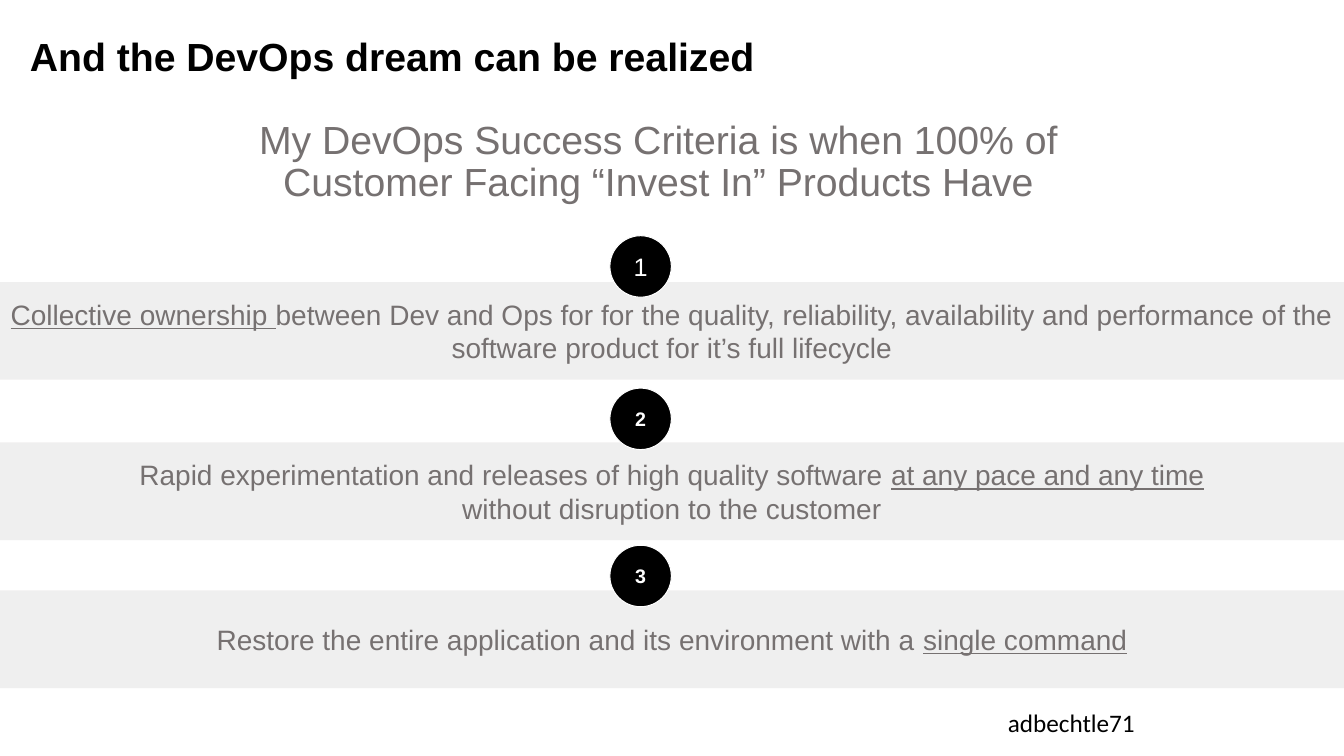
from dataclasses import dataclass

import pptx
import pptx.dml.color
import pptx.enum.shapes
import pptx.enum.text
import pptx.oxml
import pptx.oxml.ns
import pptx.util
from pptx.util import Cm

ALIGN = pptx.enum.text.PP_ALIGN
ANCHOR = pptx.enum.text.MSO_ANCHOR
SHAPE = pptx.enum.shapes.MSO_SHAPE


@dataclass(frozen=True)
class Theme:
    black: str = "000000"
    white: str = "FFFFFF"
    gray: str = "767171"
    band: str = "AFABAB"
    band_opacity: int = 19
    heading: int = 28
    body: int = 20
    label: int = 18
    number: int = 14
    font: str = "Arial"
    footer_font: str = "Calibri"


theme = Theme()


def rgb(color):
    return pptx.dml.color.RGBColor.from_string(color)


def add_span(para, text, *, size, color, font=theme.font, bold=False,
             underline=False, align=ALIGN.CENTER, spacing=1.0):
    para.alignment = align
    para.line_spacing = spacing
    span = para.add_run()
    span.text = text
    span.font.name = font
    span.font.size = pptx.util.Pt(size)
    span.font.color.rgb = rgb(color)
    span.font.bold = bold
    span.font.underline = underline


deck = pptx.Presentation()
deck.slide_width, deck.slide_height = Cm(33.87), Cm(19.05)
page = deck.slides.add_slide(deck.slide_layouts[5])

# Title and lead sentence
title = page.shapes.title
title.left, title.top, title.width, title.height = Cm(0.5), Cm(-0.36), Cm(32.84), Cm(3.68)
lead = page.shapes.add_textbox(Cm(5.64), Cm(2.26), Cm(21.9), Cm(3.68))
for box in (title, lead):
    box.text_frame.word_wrap = True
    box.text_frame.auto_size = pptx.enum.text.MSO_AUTO_SIZE.NONE
    box.text_frame.vertical_anchor = ANCHOR.MIDDLE
add_span(title.text_frame.paragraphs[0], "And the DevOps dream can be realized",
         size=theme.heading, color=theme.black, bold=True, align=ALIGN.LEFT, spacing=0.9)
add_span(lead.text_frame.paragraphs[0],
         "My DevOps Success Criteria is when 100% of Customer Facing “Invest In” Products Have",
         size=theme.heading, color=theme.gray, spacing=0.9)

# Each criterion: band top, badge top, badge type, then lines of (text, underlined)
criteria = [
    (7.11, 5.94, {"size": theme.label}, [
        [("Collective ownership ", True),
         ("between Dev and Ops for for the quality, reliability, availability and "
          "performance of the software product for it’s full lifecycle", False)],
    ]),
    (11.15, 9.78, {"size": theme.number, "bold": True}, [
        [("Rapid experimentation and releases of high quality software ", False),
         ("at any pace and any time", True)],
        [("without disruption to the customer", False)],
    ]),
    (14.88, 13.74, {"size": theme.number, "bold": True}, [
        [("Restore the entire application and its environment with a ", False),
         ("single command", True)],
    ]),
]
for number, (band_top, badge_top, badge_type, lines) in enumerate(criteria, start=1):
    band = page.shapes.add_shape(SHAPE.RECTANGLE, 0, Cm(band_top), deck.slide_width, Cm(2.46))
    band.shadow.inherit = False
    band.fill.solid()
    band.fill.fore_color.rgb = rgb(theme.band)
    fill_color = band.fill._xPr.find(".//" + pptx.oxml.ns.qn("a:srgbClr"))
    fill_color.append(pptx.oxml.parse_xml(
        f'<a:alpha {pptx.oxml.ns.nsdecls("a")} val="{theme.band_opacity * 1000}"/>'))
    band.line.fill.background()
    frame = band.text_frame
    frame.word_wrap = True
    frame.vertical_anchor = ANCHOR.MIDDLE
    for index, line in enumerate(lines):
        para = frame.add_paragraph() if index else frame.paragraphs[0]
        for text, underline in line:
            add_span(para, text, size=theme.body, color=theme.gray, underline=underline)

    badge = page.shapes.add_shape(SHAPE.OVAL, Cm(15.37), Cm(badge_top), Cm(1.55), Cm(1.55))
    badge.shadow.inherit = False
    badge.fill.solid()
    badge.fill.fore_color.rgb = rgb(theme.black)
    badge.line.color.rgb = rgb(theme.white)
    badge.line.width = pptx.util.Pt(0.75)
    frame = badge.text_frame
    frame.margin_left = frame.margin_right = frame.margin_top = frame.margin_bottom = Cm(0.3)
    frame.vertical_anchor = ANCHOR.MIDDLE
    add_span(frame.paragraphs[0], str(number), color=theme.white, **badge_type)

# Footer
footer = page.shapes.add_textbox(Cm(25.15), Cm(17.7), Cm(3.76), Cm(1.02))
footer.text_frame.word_wrap = False
add_span(footer.text_frame.paragraphs[0], "adbechtle71", size=theme.label,
         color=theme.black, font=theme.footer_font, align=ALIGN.LEFT)

deck.save("out.pptx")
